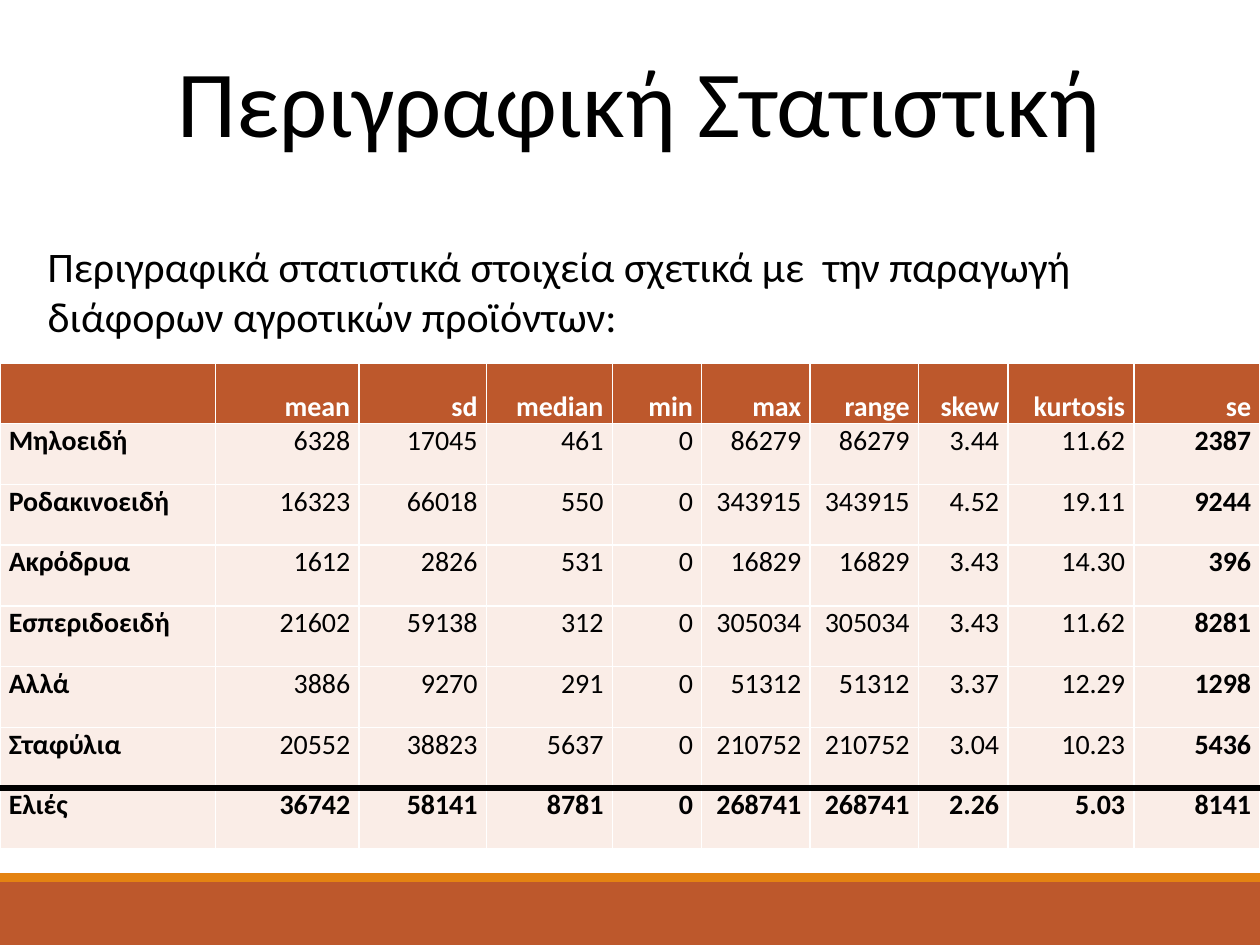
from lxml import etree
from pptx import Presentation
from pptx.dml.color import RGBColor
from pptx.enum.shapes import MSO_SHAPE
from pptx.enum.text import MSO_ANCHOR, MSO_AUTO_SIZE, PP_ALIGN
from pptx.oxml.ns import qn
from pptx.util import Inches, Pt

RECTANGLE = MSO_SHAPE.RECTANGLE
TOP, BOTTOM = MSO_ANCHOR.TOP, MSO_ANCHOR.BOTTOM
LEFT, CENTER, RIGHT = PP_ALIGN.LEFT, PP_ALIGN.CENTER, PP_ALIGN.RIGHT
FIT_SHAPE = MSO_AUTO_SIZE.SHAPE_TO_FIT_TEXT

FONT = "Calibri"
BLACK, WHITE, RUST, ORANGE, BLUSH = "000000", "FFFFFF", "BD582C", "E48312", "FAEDE7"

TITLE = "Περιγραφική Στατιστική"
INTRO = "Περιγραφικά στατιστικά στοιχεία σχετικά με  την παραγωγή διάφορων αγροτικών προϊόντων:"
FOOTER_BARS = [(7, 0.5, RUST), (6.93, 0.07, ORANGE)]
COLUMN_WIDTHS = [1.71, 1.14, 1.01, 1, 0.71, 0.86, 0.86, 0.71, 1, 1]
ROW_HEIGHT = 0.4825
STATISTICS = [
    ("", "mean", "sd", "median", "min", "max", "range", "skew", "kurtosis", "se"),
    ("Μηλοειδή", "6328", "17045", "461", "0", "86279", "86279", "3.44", "11.62", "2387"),
    ("Ροδακινοειδή", "16323", "66018", "550", "0", "343915", "343915", "4.52", "19.11", "9244"),
    ("Ακρόδρυα", "1612", "2826", "531", "0", "16829", "16829", "3.43", "14.30", "396"),
    ("Εσπεριδοειδή", "21602", "59138", "312", "0", "305034", "305034", "3.43", "11.62", "8281"),
    ("Αλλά", "3886", "9270", "291", "0", "51312", "51312", "3.37", "12.29", "1298"),
    ("Σταφύλια", "20552", "38823", "5637", "0", "210752", "210752", "3.04", "10.23", "5436"),
    ("Ελιές", "36742", "58141", "8781", "0", "268741", "268741", "2.26", "5.03", "8141"),
]


def color(value):
    return RGBColor.from_string(value)


def write(frame, text, size, ink=BLACK, align=LEFT, bold=False):
    paragraph = frame.paragraphs[0]
    paragraph.text = text
    paragraph.alignment = align
    font = paragraph.font
    font.name, font.size, font.bold = FONT, Pt(size), bold
    font.color.rgb = color(ink)


def fit_frame(shape):
    frame = shape.text_frame
    frame.word_wrap = True
    frame.auto_size = FIT_SHAPE
    frame.vertical_anchor = TOP
    return frame


def add_bar(slide, top, height, fill):
    bar = slide.shapes.add_shape(RECTANGLE, 0, Inches(top), Inches(10), Inches(height))
    bar.shadow.inherit = False
    bar.fill.solid()
    bar.fill.fore_color.rgb = color(fill)
    bar.line.fill.background()


def add_border(cell, side, ink, points):
    line = etree.Element(qn(f"a:{side}"), w=str(Pt(points)))
    fill = etree.SubElement(line, qn("a:solidFill"))
    etree.SubElement(fill, qn("a:srgbClr"), val=ink)
    cell._tc.get_or_add_tcPr().insert(0, line)


def fill_cell(cell, text, row, column):
    header, total = row == 0, row == len(STATISTICS) - 1
    edge = column in (0, len(COLUMN_WIDTHS) - 1)
    cell.margin_left = cell.margin_right = Inches(0.07)
    cell.margin_top = cell.margin_bottom = 0
    cell.vertical_anchor = BOTTOM if header else TOP
    cell.fill.solid()
    cell.fill.fore_color.rgb = color(RUST if header else BLUSH)
    write(cell.text_frame, text, 16, WHITE if header else BLACK,
          RIGHT if column else LEFT, header or total or edge)
    if total:
        add_border(cell, "lnT", BLACK, 4)
    elif row == len(STATISTICS) - 2:
        add_border(cell, "lnB", BLACK, 4)


def add_statistics(slide):
    frame = slide.shapes.add_table(
        len(STATISTICS), len(COLUMN_WIDTHS), 0, Inches(2.88),
        Inches(sum(COLUMN_WIDTHS)), Inches(ROW_HEIGHT * len(STATISTICS)))
    table = frame.table
    table.horz_banding = False
    for column, width in zip(table.columns, COLUMN_WIDTHS):
        column.width = Inches(width)
    for row, values in enumerate(STATISTICS):
        table.rows[row].height = Inches(ROW_HEIGHT)
        for column, text in enumerate(values):
            fill_cell(table.cell(row, column), text, row, column)


def main():
    """Build the descriptive statistics slide."""
    presentation = Presentation()
    presentation.slide_width, presentation.slide_height = Inches(10), Inches(7.5)
    slide = presentation.slides.add_slide(presentation.slide_layouts[5])
    for bar in FOOTER_BARS:
        add_bar(slide, *bar)
    title = slide.shapes.title
    title.left, title.top = Inches(0.43), Inches(0.29)
    title.width, title.height = Inches(9.29), Inches(1.01)
    write(fit_frame(title), TITLE, 54, align=CENTER)
    intro = slide.shapes.add_textbox(Inches(0.28), Inches(1.86), Inches(9.29), Inches(0.91))
    write(fit_frame(intro), INTRO, 24)
    add_statistics(slide)
    presentation.save("out.pptx")


if __name__ == "__main__":
    main()
